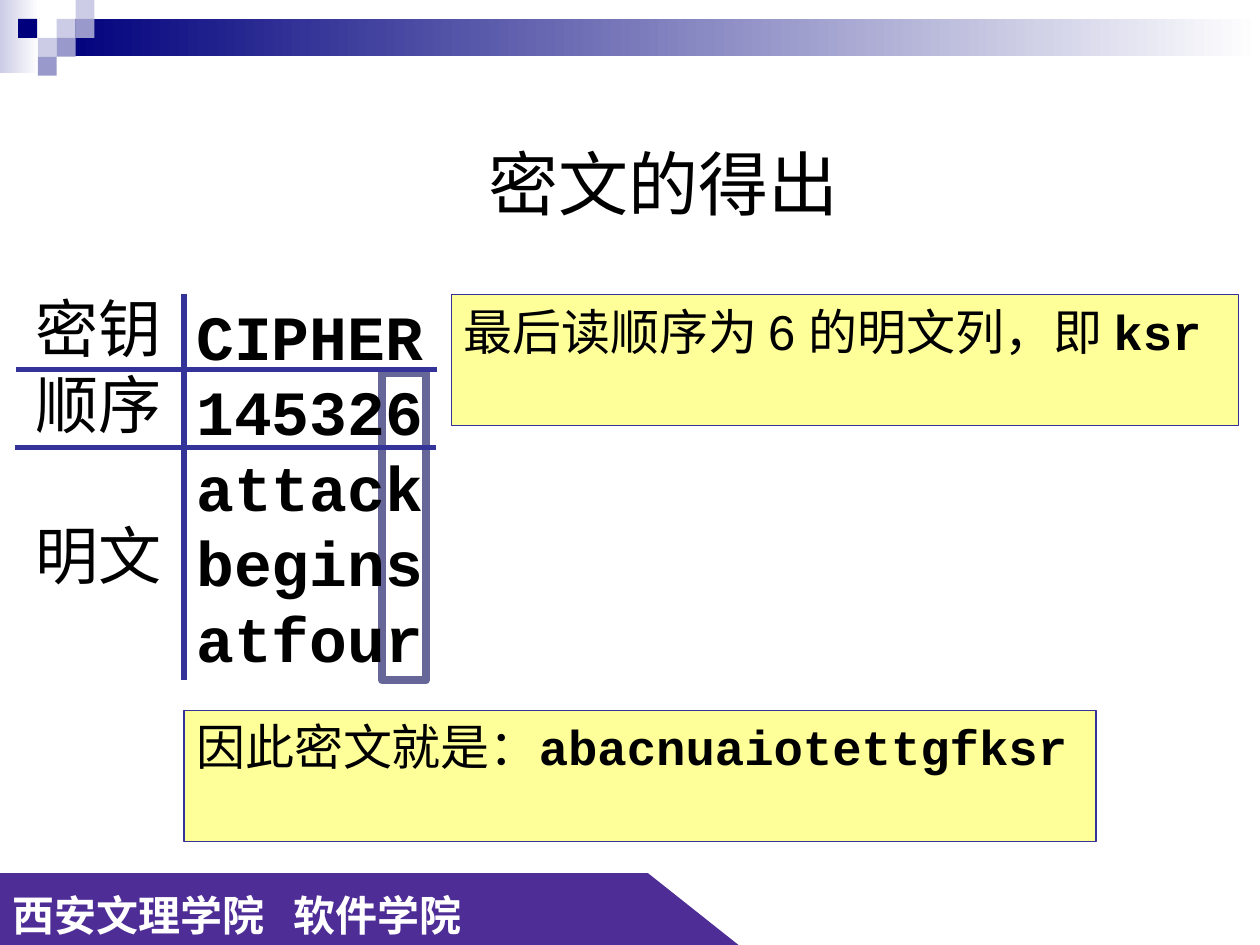
from lxml import etree
from pptx import Presentation
from pptx.dml.color import RGBColor
from pptx.enum.shapes import MSO_CONNECTOR, MSO_SHAPE
from pptx.enum.text import MSO_ANCHOR, PP_ALIGN
from pptx.oxml.ns import qn
from pptx.util import Pt

COLORS = {
    "black": "000000", "white": "FFFFFF", "purple": "4E2E96", "navy": "00007D",
    "pale": "CCCCE6", "lilac": "9999CC", "yellow": "FFFF99",
    "line": "333399", "frame": "666699",
}


def add_box(left, top, width, height, fill=None, line=None, line_width=0.75,
            kind=MSO_SHAPE.RECTANGLE):
    shape = slide.shapes.add_shape(kind, Pt(left), Pt(top), Pt(width), Pt(height))
    shape.shadow.inherit = False
    if fill:
        shape.fill.solid()
        shape.fill.fore_color.rgb = RGBColor.from_string(COLORS[fill])
    else:
        shape.fill.background()
    if line:
        shape.line.color.rgb = RGBColor.from_string(COLORS[line])
        shape.line.width = Pt(line_width)
    else:
        shape.line.fill.background()
    return shape


def format_runs(paragraph, size, font, bold=False, color="black"):
    for run in paragraph.runs:
        run.font.size = Pt(size)
        run.font.name = font
        run.font.bold = bold
        run.font.color.rgb = RGBColor.from_string(COLORS[color])


presentation = Presentation()
presentation.slide_width, presentation.slide_height = Pt(720), Pt(540)
slide = presentation.slides.add_slide(presentation.slide_layouts[5])

# Footer banner
slant = add_box(212.4, 499, 210.2, 41.5, "purple", kind=MSO_SHAPE.PARALLELOGRAM)
slant.adjustments[0] = 1.26
slant.element.spPr.find(qn("a:xfrm")).set("flipV", "1")
footer = add_box(0, 499, 306, 41.5, "purple")
footer.text_frame.text = "西安文理学院   软件学院"
footer.text_frame.vertical_anchor = MSO_ANCHOR.TOP
paragraph = footer.text_frame.paragraphs[0]
paragraph.alignment = PP_ALIGN.LEFT
paragraph.line_spacing = 1.2
format_runs(paragraph, 24, "Arial", True, "white")

# Header gradients
for left, top, width, height, start in [
    (0, 0, 22.3, 41.8, "pale"),
    (32.4, 10.8, 687.6, 21.3, "navy"),
]:
    band = add_box(left, top, width, height)
    band.fill.gradient()
    band.fill.gradient_angle = 0
    for stop, color, position in zip(band.fill.gradient_stops, (start, "white"), (0, 1)):
        stop.color.rgb = RGBColor.from_string(COLORS[color])
        stop.position = position

# Header squares
for left, top, color in [
    (32.4, 10.8, "pale"), (43.2, 0, "pale"), (43.2, 10.8, "lilac"),
    (21.6, 21.6, "pale"), (10.4, 10.8, "navy"), (32.4, 21.6, "lilac"),
    (21.6, 32.4, "lilac"),
]:
    add_box(left, top, 10.8, 10.8, color)

# Title
title = slide.shapes.title
title.left, title.top, title.width, title.height = Pt(54), Pt(16.6), Pt(650), Pt(115.2)
title.text_frame.text = "密文的得出"
title.text_frame.vertical_anchor = MSO_ANCHOR.BOTTOM
title.text_frame.paragraphs[0].alignment = PP_ALIGN.CENTER
format_runs(title.text_frame.paragraphs[0], 40, "Arial")

# Frame around the column being read
add_box(218.2, 213.1, 25.2, 175.7, line="frame", line_width=4.5)

# Key, order and plaintext rows with their labels
for left, top, width, height, lines, font, bold in [
    (105.1, 166.3, 144, 223.2,
     ["CIPHER", "145326", "attack", "begins", "atfour"], "Courier New", True),
    (13, 162, 86.4, 180, ["密钥", "顺序", "明文"], "Karla", False),
]:
    text_box = slide.shapes.add_textbox(Pt(left), Pt(top), Pt(width), Pt(height))
    text_box.text_frame.word_wrap = False
    text_box.text_frame.text = "\n".join(lines)
    for paragraph in text_box.text_frame.paragraphs:
        format_runs(paragraph, 36, font, bold)
        if paragraph.text == "明文":
            paragraph.space_before = Pt(43.2)

# Grid lines
for x1, y1, x2, y2 in [
    (9.4, 211, 249.8, 211), (8.6, 255.6, 249.1, 255.6), (105.1, 167.8, 105.1, 388.8),
]:
    connector = slide.shapes.add_connector(
        MSO_CONNECTOR.STRAIGHT, Pt(x1), Pt(y1), Pt(x2), Pt(y2))
    connector.line.color.rgb = RGBColor.from_string(COLORS["line"])
    connector.line.width = Pt(3)
    etree.SubElement(connector.element.spPr, qn("a:effectLst"))

# Yellow notes
for left, top, width, words, cipher in [
    (257.8, 168.5, 450, "最后读顺序为 6 的明文列，即 ", "ksr"),
    (105.1, 406.1, 521.3, "因此密文就是：", "abacnuaiotettgfksr"),
]:
    note = add_box(left, top, width, 74.9, "yellow", "line")
    note.text_frame.word_wrap = True
    note.text_frame.vertical_anchor = MSO_ANCHOR.TOP
    paragraph = note.text_frame.paragraphs[0]
    paragraph.alignment = PP_ALIGN.LEFT
    paragraph.text = words
    format_runs(paragraph, 28, "Arial")
    cipher_run = paragraph.add_run()
    cipher_run.text = cipher
    cipher_run.font.size = Pt(28)
    cipher_run.font.name = "Courier New"
    cipher_run.font.bold = True
    cipher_run.font.color.rgb = RGBColor.from_string(COLORS["black"])

presentation.save("out.pptx")
